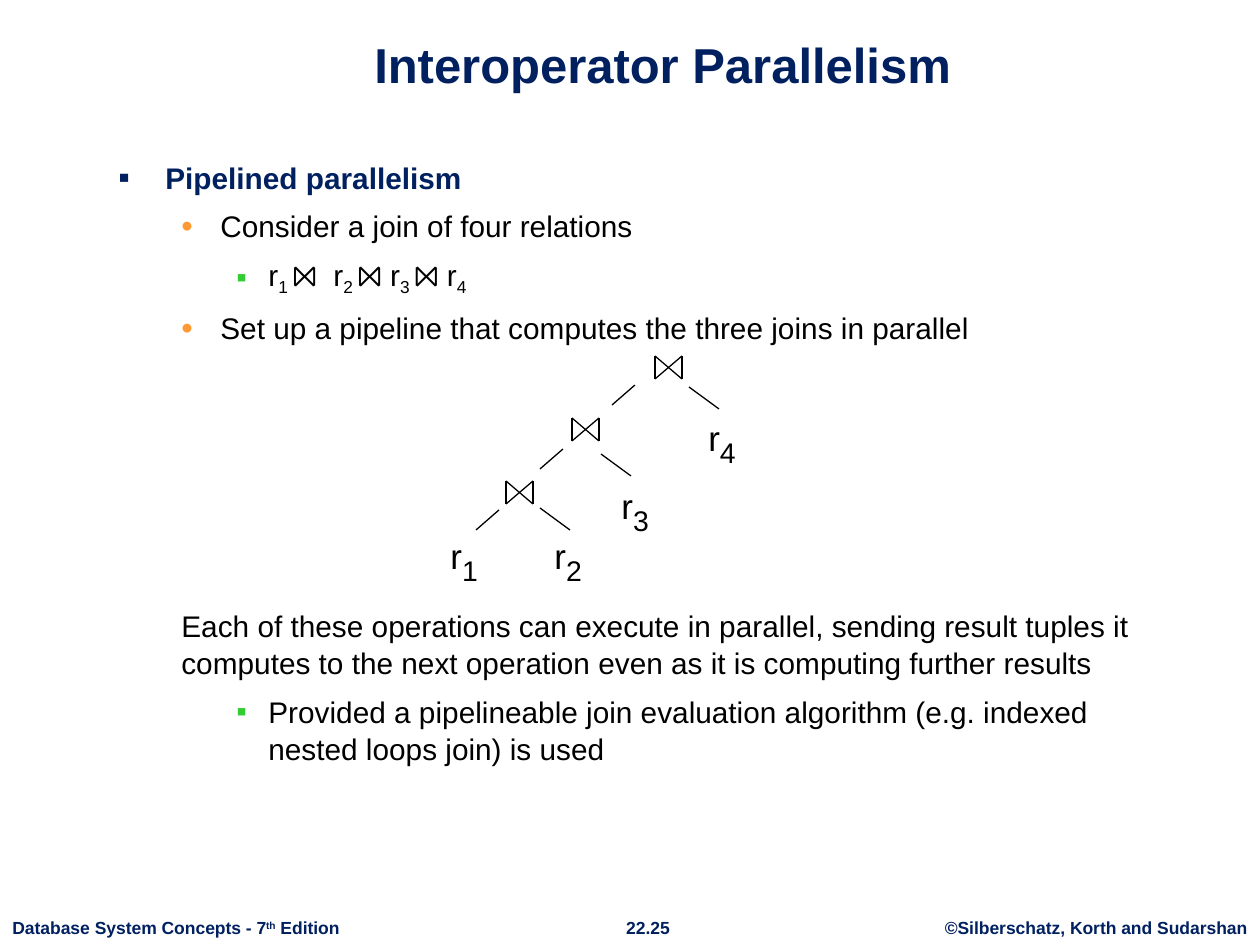
from dataclasses import dataclass

from lxml.etree import SubElement
from pptx import Presentation
from pptx.dml.color import RGBColor
from pptx.enum.shapes import MSO_CONNECTOR
from pptx.enum.text import MSO_ANCHOR, PP_ALIGN
from pptx.oxml.ns import qn
from pptx.util import Emu, Pt

PX_PER_INCH = 126
SUBSCRIPT, SUPERSCRIPT = -25, 30


@dataclass(frozen=True)
class Theme:
    font: str = "Arial"
    navy: str = "002060"
    black: str = "000000"
    orange: str = "FF9933"
    green: str = "33CC33"
    title_size: int = 28
    body_size: int = 17
    relation_size: int = 20
    index_size: int = 28
    footer_size: int = 10
    line_width: float = 0.75
    line_spacing: float = 1.04
    paragraph_gap: float = 6.5
    tree_gap: int = 149


THEME = Theme()

# Level: left margin and hanging indent in px, then bullet, its colour and size in percent
LEVELS = {
    "heading": (47, -47, "▪", THEME.navy, 110),
    "point": (102, -39, "•", THEME.orange, 110),
    "detail": (150, -32, "▪", THEME.green, 100),
    "plain": (63, 0, None, None, None),
}

BODY = [
    ("heading", [("Pipelined parallelism", 0)]),
    ("point", [("Consider a join of four relations", 0)]),
    ("detail", [("r", 0), ("1 ", SUBSCRIPT), ("⨝  r", 0), ("2 ", SUBSCRIPT),
                ("⨝ r", 0), ("3 ", SUBSCRIPT), ("⨝ r", 0), ("4", SUBSCRIPT)]),
    ("point", [("Set up a pipeline that computes the three joins in parallel", 0)]),
    ("plain", [("Each of these operations can execute in parallel, sending result tuples it "
                "computes to the next operation even as it is computing further results", 0)]),
    ("detail", [("Provided a pipelineable join evaluation algorithm (e.g. indexed "
                 "nested loops join) is used", 0)]),
]

JOIN_WIDTH, JOIN_HEIGHT = 27, 23
JOINS = [(506, 481), (572, 418), (655, 356)]
RELATIONS = [("1", 438, 514), ("2", 542, 514), ("3", 609, 464), ("4", 696, 396)]
LEFT_BRANCH, RIGHT_BRANCH = (-23, 20), (30, 22)
LEFT_BRANCH_TOPS = [(499, 510), (563, 449), (635, 385)]
RIGHT_BRANCH_TOPS = [(540, 508), (601, 454), (689, 387)]

FOOTERS = [
    (0, 354, PP_ALIGN.LEFT,
     [("Database System Concepts - 7", 0), ("th", SUPERSCRIPT), (" Edition", 0)]),
    (612, 72, PP_ALIGN.CENTER, [("22.25", 0)]),
    (932, 328, PP_ALIGN.CENTER, [("©Silberschatz, Korth and Sudarshan", 0)]),
]


def px(length):
    return Emu(round(length * 914400 / PX_PER_INCH))


def add_text_frame(slide, left, top, width, height, wrap=True):
    box = slide.shapes.add_textbox(px(left), px(top), px(width), px(height))
    box.text_frame.word_wrap = wrap
    return box.text_frame


def add_run(paragraph, text, size, color, bold=False, baseline=0):
    run = paragraph.add_run()
    run.text = text
    run.font.name = THEME.font
    run.font.size = Pt(size)
    run.font.bold = bold
    run.font.color.rgb = RGBColor.from_string(color)
    if baseline:
        run._r.get_or_add_rPr().set("baseline", str(baseline * 1000))


def format_level(paragraph, level):
    """Set the indents and the bullet of a body level."""
    margin, indent, bullet, color, percent = LEVELS[level]
    properties = paragraph._p.get_or_add_pPr()
    properties.set("marL", str(px(margin)))
    properties.set("indent", str(px(indent)))
    if bullet is None:
        SubElement(properties, qn("a:buNone"))
        return
    bullet_color = SubElement(properties, qn("a:buClr"))
    SubElement(bullet_color, qn("a:srgbClr"), val=color)
    SubElement(properties, qn("a:buSzPct"), val=str(percent * 1000))
    SubElement(properties, qn("a:buFont"), typeface=THEME.font)
    SubElement(properties, qn("a:buChar"), char=bullet)


def add_title(slide):
    frame = add_text_frame(slide, 106, 16, 1113, 84)
    frame.vertical_anchor = MSO_ANCHOR.BOTTOM
    paragraph = frame.paragraphs[0]
    paragraph.alignment = PP_ALIGN.CENTER
    add_run(paragraph, "Interoperator Parallelism", THEME.title_size, THEME.navy, bold=True)


def add_body(slide):
    """Add the bullet list, leaving room for the join tree above the plain paragraph."""
    frame = add_text_frame(slide, 106, 152, 1060, 740)
    for index, (level, runs) in enumerate(BODY):
        paragraph = frame.add_paragraph() if index else frame.paragraphs[0]
        format_level(paragraph, level)
        paragraph.line_spacing = THEME.line_spacing
        if index:
            gap = THEME.tree_gap if level == "plain" else THEME.paragraph_gap
            paragraph.space_before = Pt(gap)
        heading = level == "heading"
        color = THEME.navy if heading else THEME.black
        for text, baseline in runs:
            add_run(paragraph, text, THEME.body_size, color, heading, baseline)


def add_line(slide, x, y, dx, dy):
    line = slide.shapes.add_connector(
        MSO_CONNECTOR.STRAIGHT, px(x), px(y), px(x + dx), px(y + dy))
    line.line.color.rgb = RGBColor.from_string(THEME.black)
    line.line.width = Pt(THEME.line_width)
    SubElement(line._element.spPr, qn("a:effectLst"))


def add_join(slide, x, y):
    """Draw the bow tie: two diagonals closed by two uprights."""
    add_line(slide, x, y, JOIN_WIDTH, JOIN_HEIGHT)
    add_line(slide, x, y + JOIN_HEIGHT, JOIN_WIDTH, -JOIN_HEIGHT)
    for side in (x, x + JOIN_WIDTH):
        add_line(slide, side, y, 0, JOIN_HEIGHT)


def add_relation(slide, number, left, top):
    paragraph = add_text_frame(slide, left, top, 73, 55).paragraphs[0]
    add_run(paragraph, "r", THEME.relation_size, THEME.black)
    add_run(paragraph, number, THEME.index_size, THEME.black, baseline=SUBSCRIPT)


def add_join_tree(slide):
    for x, y in JOINS:
        add_join(slide, x, y)
    for relation in RELATIONS:
        add_relation(slide, *relation)
    for tops, branch in ((LEFT_BRANCH_TOPS, LEFT_BRANCH), (RIGHT_BRANCH_TOPS, RIGHT_BRANCH)):
        for x, y in tops:
            add_line(slide, x, y, *branch)


def add_footers(slide):
    for left, width, alignment, runs in FOOTERS:
        paragraph = add_text_frame(slide, left, 911, width, 34, wrap=False).paragraphs[0]
        paragraph.alignment = alignment
        for text, baseline in runs:
            add_run(paragraph, text, THEME.footer_size, THEME.navy, True, baseline)


def main():
    presentation = Presentation()
    presentation.slide_width, presentation.slide_height = px(1260), px(945)
    slide = presentation.slides.add_slide(presentation.slide_layouts[6])
    add_footers(slide)
    add_title(slide)
    add_body(slide)
    add_join_tree(slide)
    presentation.save("out.pptx")


if __name__ == "__main__":
    main()
